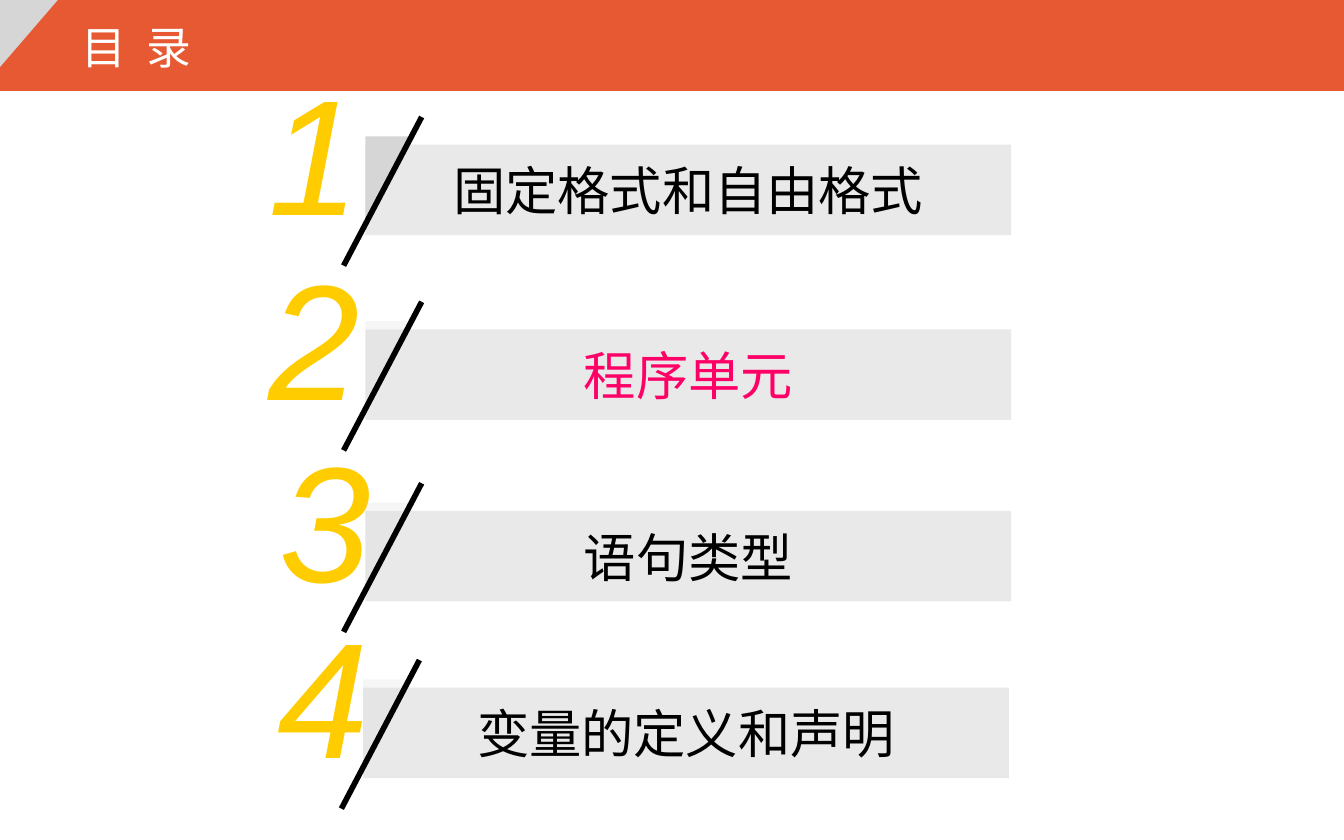
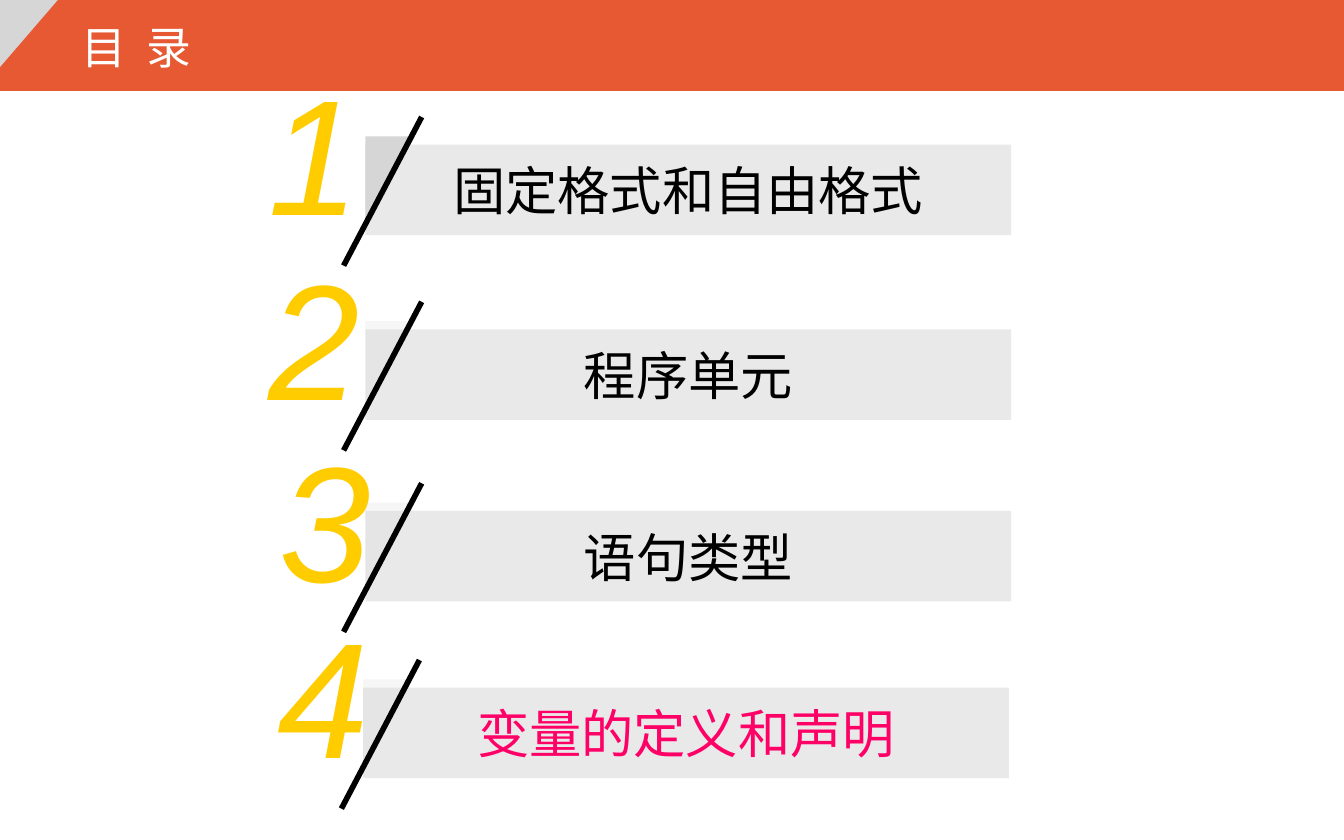
from dataclasses import dataclass

from lxml.etree import SubElement
from pptx import Presentation
from pptx.dml.color import RGBColor
from pptx.enum.shapes import MSO_CONNECTOR as Connector, MSO_SHAPE as Shape
from pptx.enum.text import MSO_ANCHOR as Anchor, MSO_AUTO_SIZE as AutoSize, PP_ALIGN as Align
from pptx.oxml.ns import qn
from pptx.util import Pt

TITLE = "目 录"
SECTIONS = [
    dict(label="固定格式和自由格式", left=195.7, top=77.5, number_shift=-59, corner_alpha=100),
    dict(label="程序单元", left=195.7, top=176.5, number_shift=-59, corner_alpha=20),
    dict(label="语句类型", left=195.7, top=273.7, number_shift=-53, corner_alpha=20),
    dict(label="变量的定义和声明", left=194.5, top=368.4, number_shift=-52.7, corner_alpha=20),
]
CURRENT_SECTIONS = [2, 4]


@dataclass(frozen=True)
class Theme:
    band: str = "E75933"
    corner: str = "D6D6D6"
    bar: str = "949494"
    number: str = "FFCC00"
    text: str = "000000"
    current: str = "FF0066"
    title: str = "FFFFFF"
    font: str = "Arial"
    title_font: str = "Noto Sans Mono"
    number_size: int = 88
    label_size: int = 28
    title_size: int = 24
    bar_alpha: int = 20


THEME = Theme()
WIDTH, HEIGHT = 720, 450
BAR_WIDTH, BAR_HEIGHT = 346, 48.5


def points(*lengths):
    return [Pt(length) for length in lengths]


def add_block(shapes, kind, box, color, alpha=100):
    shape = shapes.add_shape(kind, *points(*box))
    shape.shadow.inherit = False
    shape.line.fill.background()
    shape.fill.solid()
    shape.fill.fore_color.rgb = RGBColor.from_string(color)
    if alpha < 100:
        color_element = shape.element.spPr.find(f"{qn('a:solidFill')}/{qn('a:srgbClr')}")
        SubElement(color_element, qn("a:alpha"), val=str(alpha * 1000))
    return shape


def add_corner(shapes, box, alpha=100):
    corner = add_block(shapes, Shape.RIGHT_TRIANGLE, box, THEME.corner, alpha)
    corner.element.spPr.get_or_add_xfrm().set("flipV", "1")


def write(shape, text, font, size, color, align=Align.LEFT, anchor=Anchor.TOP, italic=False):
    frame = shape.text_frame
    frame.text = text
    frame.vertical_anchor = anchor
    frame.margin_left = frame.margin_right = Pt(7.2)
    frame.margin_top = frame.margin_bottom = Pt(3.6)
    paragraph = frame.paragraphs[0]
    paragraph.alignment = align
    paragraph.font.name = font
    paragraph.font.size = Pt(size)
    paragraph.font.italic = italic
    paragraph.font.color.rgb = RGBColor.from_string(color)
    return frame


def add_header(slide):
    add_block(slide.shapes, Shape.RECTANGLE, (0, 0, WIDTH, 48.7), THEME.band)
    add_corner(slide.shapes, (0, 0, 31, 36))
    title = slide.shapes.title
    title.left, title.top, title.width, title.height = points(36.7, 7.2, 244, 36)
    frame = write(title, TITLE, THEME.title_font, THEME.title_size, THEME.title)
    frame.word_wrap = True
    frame.auto_size = AutoSize.SHAPE_TO_FIT_TEXT
    frame.paragraphs[0].runs[0].font._element.set("spc", "270")
    title.element.getparent().append(title.element)


def add_slash(shapes, left, top):
    slash = shapes.add_connector(
        Connector.STRAIGHT, *points(left + 30.2, top - 14.8, left - 11.6, top + 64.8))
    slash.line.color.rgb = RGBColor.from_string(THEME.text)
    slash.line.width = Pt(3)
    SubElement(slash.element.spPr, qn("a:effectLst"))


def add_section(slide, number, section, is_current):
    shapes = slide.shapes.add_group_shape().shapes
    left, top = section["left"], section["top"]

    number_box = shapes.add_textbox(*points(left + section["number_shift"], top - 53.3, 63.4, 113))
    frame = write(number_box, str(number), THEME.font, THEME.number_size, THEME.number, italic=True)
    frame.word_wrap = False
    frame.auto_size = AutoSize.SHAPE_TO_FIT_TEXT

    bar = add_block(shapes, Shape.RECTANGLE, (left, top, BAR_WIDTH, BAR_HEIGHT),
                    THEME.bar, THEME.bar_alpha)
    write(bar, section["label"], THEME.font, THEME.label_size,
          THEME.current if is_current else THEME.text, Align.CENTER, Anchor.MIDDLE)

    add_corner(shapes, (left, top - 4.4, 26.6, 48), section["corner_alpha"])
    add_slash(shapes, left, top)


def main():
    presentation = Presentation()
    presentation.slide_width, presentation.slide_height = points(WIDTH, HEIGHT)
    title_only = presentation.slide_layouts[5]
    for current in CURRENT_SECTIONS:
        slide = presentation.slides.add_slide(title_only)
        add_header(slide)
        for number, section in enumerate(SECTIONS, start=1):
            add_section(slide, number, section, number == current)
    presentation.save("out.pptx")


if __name__ == "__main__":
    main()
